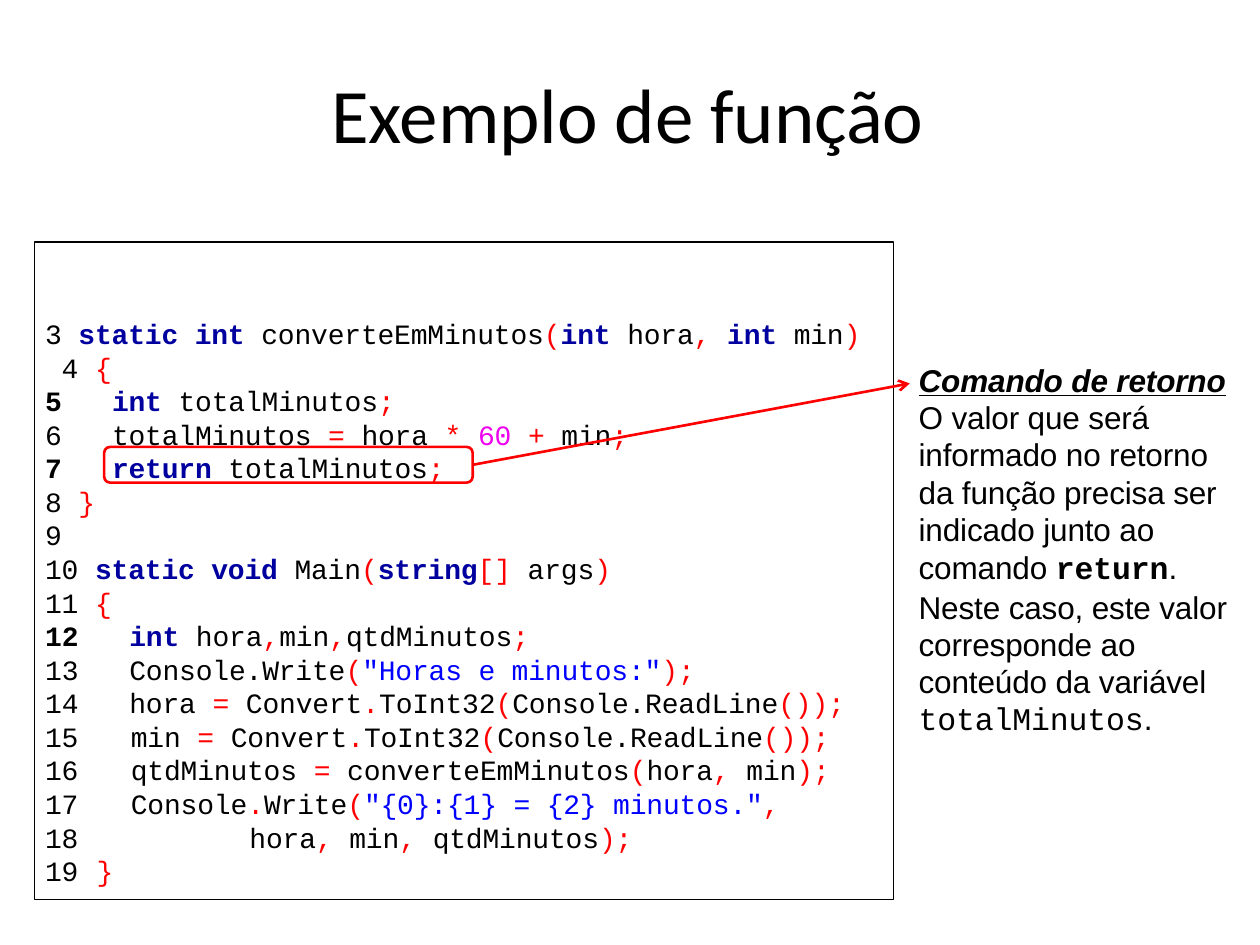
from dataclasses import dataclass

from lxml import etree
from pptx import Presentation
from pptx import util as u
from pptx.dml.color import RGBColor
from pptx.enum import shapes, text
from pptx.oxml.ns import qn


@dataclass(frozen=True)
class Theme:
    plain: str = "000000"
    keyword: str = "00009F"
    symbol: str = "FF0000"
    number: str = "EF00EF"
    string: str = "0000FF"
    code_font: str = "Courier New"
    body_font: str = "Arial"
    title_font: str = "Calibri"
    code_size: int = 16
    body_size: int = 18
    title_size: int = 44


T = Theme()
PLAIN, KEY, SYM, NUM, STR = T.plain, T.keyword, T.symbol, T.number, T.string


def add_run(p, words, font, size, color=T.plain, spacing=-8, **style):
    r = p.add_run()
    r.text = words
    r.font.name, r.font.size = font, u.Pt(size)
    r.font.color.rgb = RGBColor.from_string(color)
    for name, value in style.items():
        setattr(r.font, name, value)
    r._r.get_or_add_rPr().set("spc", str(spacing))


def set_frame(sp, left, top, width, height):
    sp.left, sp.top, sp.width, sp.height = left, top, width, height
    tf = sp.text_frame
    tf.margin_left = tf.margin_right = tf.margin_top = tf.margin_bottom = 0
    tf.word_wrap = True
    tf.auto_size = text.MSO_AUTO_SIZE.NONE
    tf.vertical_anchor = text.MSO_ANCHOR.TOP
    return tf


prs = Presentation()
prs.slide_width, prs.slide_height = u.Cm(25.4), u.Cm(19.05)
s = prs.slides.add_slide(prs.slide_layouts[5])

# Title
tf = set_frame(s.shapes.title, u.Cm(6.68), u.Cm(1.35), u.Cm(12.07), u.Cm(1.93))
p = tf.paragraphs[0]
p.alignment = text.PP_ALIGN.LEFT
add_run(p, "Exemplo de função", T.title_font, T.title_size, spacing=-12)

# Code frame and highlight of the return line
outlines = [
    (shapes.MSO_SHAPE.RECTANGLE, (0.69, 4.88, 17.32, 13.26), T.plain, 0.75),
    (shapes.MSO_SHAPE.ROUNDED_RECTANGLE, (2.1, 9.01, 7.43, 0.72), T.symbol, 1.5),
]
for kind, box, color, weight in outlines:
    sp = s.shapes.add_shape(kind, *map(u.Cm, box))
    sp.shadow.inherit = False
    sp.fill.background()
    sp.line.color.rgb = RGBColor.from_string(color)
    sp.line.width = u.Pt(weight)
highlight = sp

# Code blocks: first line, left, width, hanging indent of numbered lines,
# then each line as (numbered, left indent, runs)
READ_INT = [("Convert", PLAIN), (".", SYM), ("ToInt32", PLAIN), ("(", SYM),
            ("Console.ReadLine", PLAIN), ("());", SYM)]
blocks = [
    (3, 0.91, 16.71, 0, [
        (False, 0, [("3 ", PLAIN), ("static int ", KEY), ("converteEmMinutos", PLAIN),
                    ("(", SYM), ("int ", KEY), ("hora", PLAIN), (", ", SYM),
                    ("int ", KEY), ("min", PLAIN), (")", SYM)]),
        (False, 0, [(" 4 ", PLAIN), ("{", SYM)])]),
    (5, 0.91, 11.96, 1.35, [
        (True, 0, [("int ", KEY), ("totalMinutos", PLAIN), (";", SYM)]),
        (True, 0, [("totalMinutos ", PLAIN), ("= ", SYM), ("hora ", PLAIN), ("* ", SYM),
                   ("60 ", NUM), ("+ ", SYM), ("min", PLAIN), (";", SYM)]),
        (True, 0, [("return ", KEY), ("totalMinutos", PLAIN), (";", SYM)]),
        (False, 0, [("8 ", PLAIN), ("}", SYM)]),
        (False, 0, [("9", PLAIN)])]),
    (10, 0.91, 11.61, 0, [
        (False, 0, [("10 ", PLAIN), ("static void ", KEY), ("Main", PLAIN), ("(", SYM),
                    ("string", KEY), ("[] ", SYM), ("args", PLAIN), (")", SYM)]),
        (False, 0, [("11 ", PLAIN), ("{", SYM)])]),
    (12, 0.91, 16.38, 1.7, [
        (True, 0, [("int ", KEY), ("hora", PLAIN), (",", SYM), ("min", PLAIN),
                   (",", SYM), ("qtdMinutos", PLAIN), (";", SYM)]),
        (True, 0, [("Console.Write", PLAIN), ("(", SYM),
                   ('"Horas e minutos:"', STR), (");", SYM)]),
        (True, 0, [("hora ", PLAIN), ("= ", SYM), *READ_INT])]),
    (15, 0.91, 0.75, 0, [(False, 0, [(str(n), PLAIN)]) for n in range(15, 20)]),
    (15, 2.64, 14.35, 0, [
        (False, 0, [("min ", PLAIN), ("= ", SYM), *READ_INT]),
        (False, 0, [("qtdMinutos ", PLAIN), ("= ", SYM), ("converteEmMinutos", PLAIN),
                    ("(", SYM), ("hora", PLAIN), (", ", SYM), ("min", PLAIN), (");", SYM)]),
        (False, 0, [("Console", PLAIN), (".", SYM), ("Write", PLAIN), ("(", SYM),
                    ('"{0}:{1} = {2} minutos."', STR), (",", SYM)]),
        (False, 2.39, [("hora", PLAIN), (", ", SYM), ("min", PLAIN), (", ", SYM),
                       ("qtdMinutos", PLAIN), (");", SYM)])]),
    (19, 1.95, 0.45, 0, [(False, 0, [("}", SYM)])]),
]
first_top = u.Cm(6.38)
pitch = u.Cm(10.83) // 16
for first, left, width, hang, lines in blocks:
    sp = s.shapes.add_textbox(0, 0, 0, 0)
    tf = set_frame(sp, u.Cm(left), first_top + pitch * (first - 3),
                   u.Cm(width), pitch * len(lines))
    for i, (numbered, indent, runs) in enumerate(lines):
        p = tf.paragraphs[0] if i == 0 else tf.add_paragraph()
        pPr = p._p.get_or_add_pPr()
        pPr.set("marL", str(u.Cm(hang if numbered else indent)))
        if numbered:
            pPr.set("indent", str(-u.Cm(hang)))
            clr = etree.SubElement(pPr, qn("a:buClr"))
            etree.SubElement(clr, qn("a:srgbClr"), val=T.plain)
            etree.SubElement(pPr, qn("a:buFont"), typeface=T.code_font)
            etree.SubElement(pPr, qn("a:buAutoNum"), type="arabicPlain", startAt=str(first))
        for words, color in runs:
            add_run(p, words, T.code_font, T.code_size, color, bold=color == KEY)

# Explanation beside the code
sp = s.shapes.add_textbox(0, 0, 0, 0)
tf = set_frame(sp, u.Cm(18.52), u.Cm(7.3), u.Cm(6.4), u.Cm(7.56))
body = (T.body_font, T.body_size)
code = (T.code_font, T.body_size)
p = tf.paragraphs[0]
p.line_spacing = 0.99
add_run(p, "Comando de retorno", *body, bold=True, italic=True, underline=True)
p.add_line_break()
add_run(p, "O valor que será informado no retorno da função precisa ser "
           "indicado junto ao comando ", *body)
add_run(p, "return", *code, bold=True)
add_run(p, ".", *body)
p = tf.add_paragraph()
p.line_spacing, p.space_before = 0.98, u.Pt(1.9)
add_run(p, "Neste caso, este valor corresponde ao conteúdo da variável ", *body)
add_run(p, "totalMinutos", *code)
add_run(p, ".", *body)

# Arrow from the return line to its explanation
arrow = s.shapes.add_connector(shapes.MSO_CONNECTOR.STRAIGHT, u.Cm(9.53), u.Cm(9.37),
                               u.Cm(18.34), u.Cm(7.73))
arrow.begin_connect(highlight, 3)
arrow.line.color.rgb = RGBColor.from_string(T.symbol)
arrow.line.width = u.Pt(1.5)
etree.SubElement(arrow.line._get_or_add_ln(), qn("a:tailEnd"), type="arrow")
etree.SubElement(arrow._element.spPr, qn("a:effectLst"))

prs.save("out.pptx")
